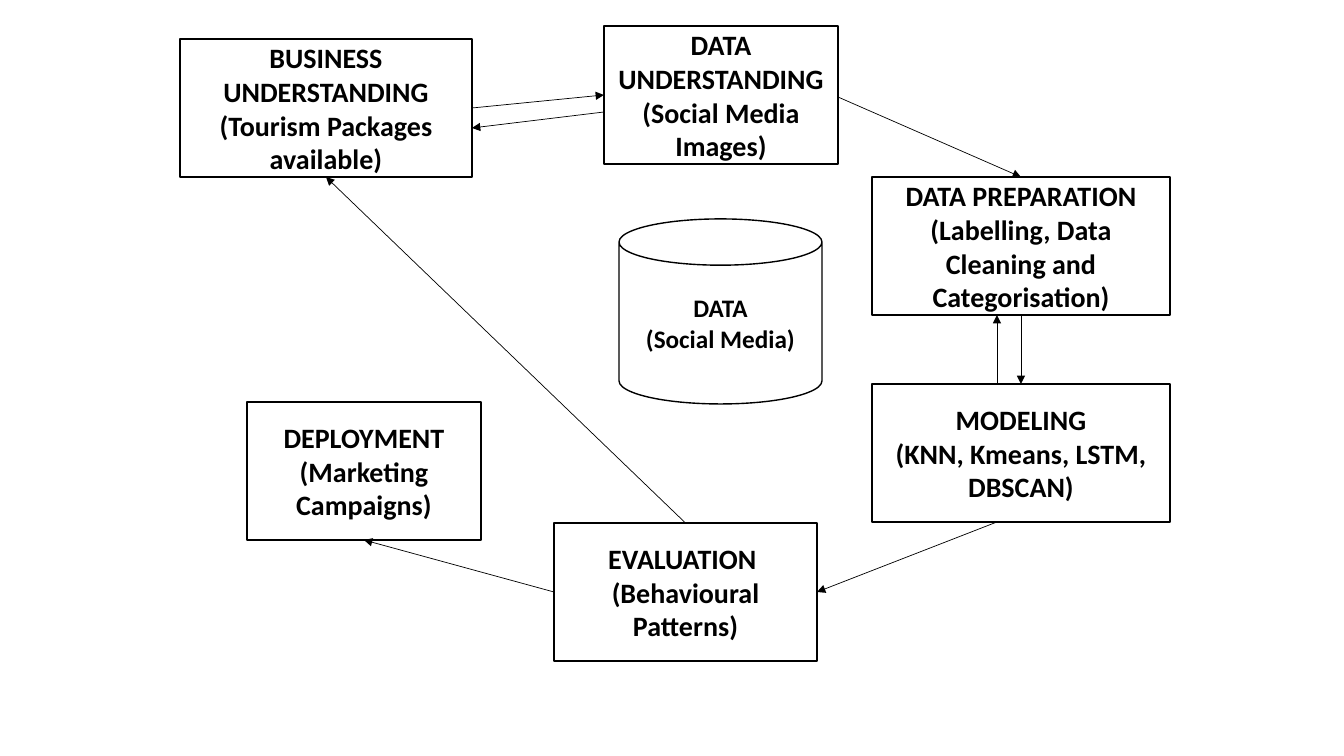
from lxml import etree
from pptx import Presentation, util as u
from pptx.dml.color import RGBColor
from pptx.enum import shapes, text
from pptx.oxml.ns import qn

# Content: lengths in px
WIDE, HIGH = 1344, 756
SCALE = 914400 / 100.8
FONT = "Calibri"
COLOR = {"ink": "000000", "paper": "FFFFFF"}
BOX_H = 138

# name: (left, top, width, title, detail)
STEPS = {
    "business": (180, 39, 292, "BUSINESS UNDERSTANDING",
                 "(Tourism Packages available)"),
    "data": (604, 26, 234, "DATA UNDERSTANDING", "(Social Media Images)"),
    "prep": (872, 177, 298, "DATA PREPARATION",
             "(Labelling, Data Cleaning and Categorisation)"),
    "model": (872, 384, 298, "MODELING", "(KNN, Kmeans, LSTM, DBSCAN)"),
    "eval": (554, 523, 263, "EVALUATION ", "(Behavioural Patterns)"),
    "deploy": (247, 402, 234, "DEPLOYMENT", "(Marketing Campaigns)"),
}
STORE = (619, 219, 203, 185, "DATA", "(Social Media)")

# Each end: step, side, shift along that side from its middle
ARROWS = [
    (("business", "right", 0), ("data", "left", 0)),
    (("data", "left", 17), ("business", "right", 20)),
    (("data", "right", 2), ("prep", "top", 0)),
    (("prep", "bottom", 0), ("model", "top", 0)),
    (("model", "top", -24), ("prep", "bottom", -24)),
    (("model", "bottom", -24), ("eval", "right", 0)),
    (("eval", "left", 0), ("deploy", "bottom", 0)),
    (("eval", "top", 0), ("business", "bottom", 0)),
]


def px(n):
    return u.Emu(round(n * SCALE))


def rgb(name):
    return RGBColor.from_string(COLOR[name])


def write(shape, lines, size=20, bold=True, color="ink"):
    frame = shape.text_frame
    frame.word_wrap = True
    frame.vertical_anchor = text.MSO_ANCHOR.MIDDLE
    for i, line in enumerate(lines):
        para = frame.add_paragraph() if i else frame.paragraphs[0]
        para.alignment = text.PP_ALIGN.CENTER
        run = para.add_run()
        run.text = line
        font = run.font
        font.name, font.size, font.bold = FONT, u.Pt(size), bold
        font.color.rgb = rgb(color)


def block(slide, kind, area, lines, **style):
    shape = slide.shapes.add_shape(kind, *map(px, area))
    shape.shadow.inherit = False
    shape.fill.solid()
    shape.fill.fore_color.rgb = rgb("paper")
    shape.line.color.rgb = rgb("ink")
    shape.line.width = u.Pt(1)
    write(shape, lines, **style)


def point(step, side, shift):
    x, y, w = STEPS[step][:3]
    if side in ("left", "right"):
        return x + w * (side == "right"), y + BOX_H / 2 + shift
    return x + w / 2 + shift, y + BOX_H * (side == "bottom")


def arrow(slide, start, end):
    ends = map(px, point(*start) + point(*end))
    link = slide.shapes.add_connector(shapes.MSO_CONNECTOR.STRAIGHT, *ends)
    link.line.color.rgb = rgb("ink")
    link.line.width = u.Pt(0.5)
    etree.SubElement(link.line._get_or_add_ln(), qn("a:tailEnd"),
                     type="triangle")
    etree.SubElement(link._element.spPr, qn("a:effectLst"))


def main():
    deck = Presentation()
    deck.slide_width, deck.slide_height = px(WIDE), px(HIGH)
    slide = deck.slides.add_slide(deck.slide_layouts[6])

    # Process steps
    for x, y, w, *lines in STEPS.values():
        block(slide, shapes.MSO_SHAPE.RECTANGLE, (x, y, w, BOX_H), lines)

    # Central data store
    block(slide, shapes.MSO_SHAPE.CAN, STORE[:4], STORE[4:], size=18)

    # Flow between steps
    for start, end in ARROWS:
        arrow(slide, start, end)

    deck.save("out.pptx")


if __name__ == "__main__":
    main()
